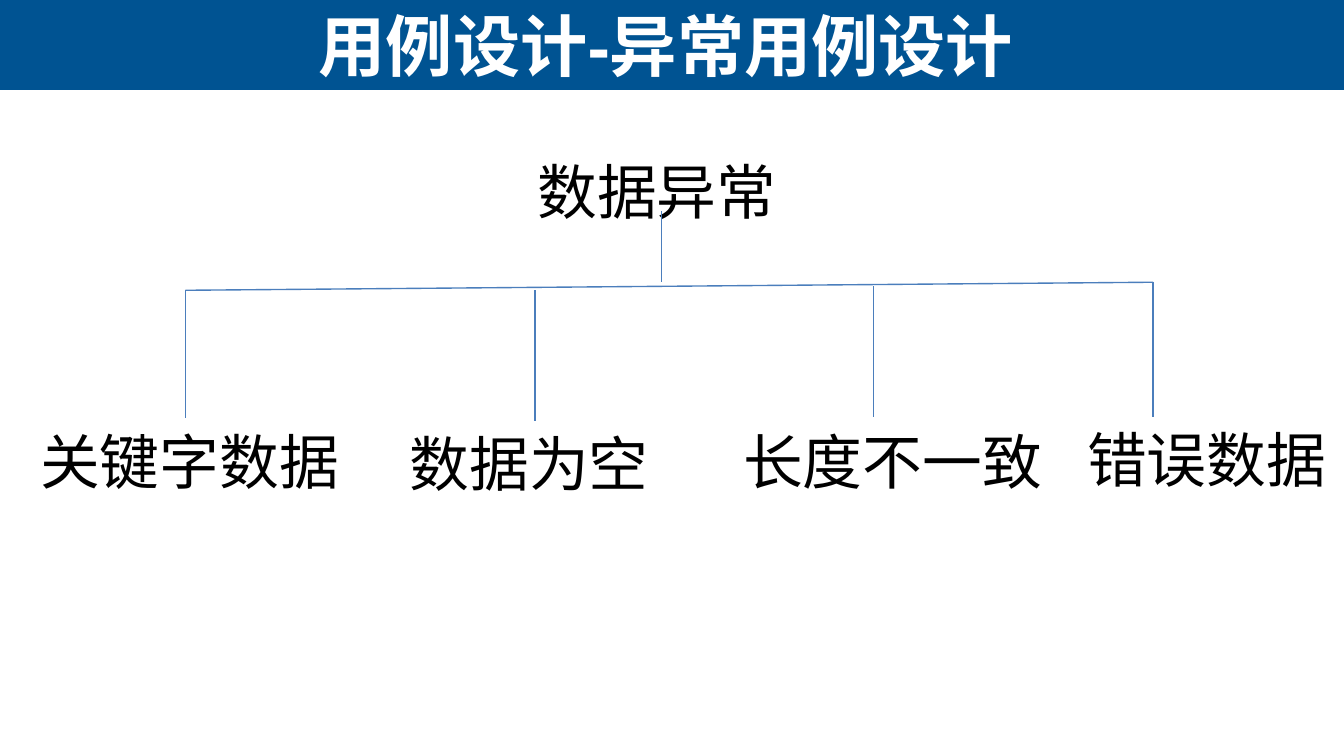
from pptx import Presentation
from pptx import util as u
from pptx.dml.color import RGBColor
from pptx.enum import shapes, text
from pptx.oxml.ns import qn
from lxml import etree

BANNER = "005392"
BRANCH = "4B7EBC"
TITLE_FORMAT = {"name": "Arial", "size": u.Pt(36), "bold": True}
LABEL_FORMAT = {"name": "Calibri", "size": u.Pt(32), "bold": False}


def color(hex_value):
    return RGBColor.from_string(hex_value)


def add_label(slide, words, box, font_format, ink="000000", **placement):
    label = slide.shapes.add_textbox(*map(u.Inches, box))
    frame = label.text_frame
    frame.word_wrap = True
    frame.vertical_anchor = placement.get("anchor", text.MSO_ANCHOR.TOP)
    paragraph = frame.paragraphs[0]
    paragraph.alignment = placement.get("align", text.PP_ALIGN.LEFT)
    run = paragraph.add_run()
    run.text = words
    for key, value in font_format.items():
        setattr(run.font, key, value)
    run.font.color.rgb = color(ink)


def add_branch(slide, start, end):
    branch = slide.shapes.add_connector(
        shapes.MSO_CONNECTOR.STRAIGHT, *map(u.Inches, (*start, *end)))
    branch.line.color.rgb = color(BRANCH)
    branch.line.width = u.Pt(0.75)
    etree.SubElement(branch._element.spPr, qn("a:effectLst"))


def add_banner(slide, box, title):
    left, top, width, height = box
    band = slide.shapes.add_shape(
        shapes.MSO_SHAPE.RECTANGLE, *map(u.Inches, box))
    band.shadow.inherit = False
    band.fill.solid()
    band.fill.fore_color.rgb = color(BANNER)
    band.line.fill.background()
    add_label(slide, title, (left + 0.02, top, width - 0.13, height),
              TITLE_FORMAT, "FFFFFF", anchor=text.MSO_ANCHOR.MIDDLE,
              align=text.PP_ALIGN.CENTER)


def add_tree(slide, box, root, causes):
    left, top, width, height = box
    label_height = 0.64
    add_label(slide, root, (left + 3.7, top, 3.15, label_height), LABEL_FORMAT)
    for words, label_x, label_y, label_width, *_ in causes:
        add_label(slide, words,
                  (left + label_x, top + label_y, label_width, label_height),
                  LABEL_FORMAT)

    ends = [(left + x, top + y) for *_, x, y, _ in causes]
    add_branch(slide, ends[0], ends[-1])
    for (x, y), cause in zip(ends, causes):
        add_branch(slide, (x, y), (x, top + cause[-1]))
    add_branch(slide, (left + 4.72, top + 0.47), (left + 4.72, top + 1))


def main():
    deck = Presentation()
    deck.slide_width = u.Inches(10)
    deck.slide_height = u.Inches(10 * 9 / 16)
    slide = deck.slides.add_slide(deck.slide_layouts[6])
    add_banner(slide, (0, 0, 10, 0.67), "用例设计-异常用例设计")
    causes = [
        ("关键字数据", 0, 2.01, 3.15, 1.18, 1.06, 2.01),
        ("数据为空", 2.75, 2.03, 3.15, 3.78, 1.06, 2.03),
        ("长度不一致", 5.23, 2.01, 3.15, 6.3, 1.03, 2),
        ("错误数据", 7.79, 2, 2.24, 8.38, 1, 2),
    ]
    add_tree(slide, (0.2, 1.1, 10.03, 2.67), "数据异常", causes)
    deck.save("out.pptx")


if __name__ == "__main__":
    main()
